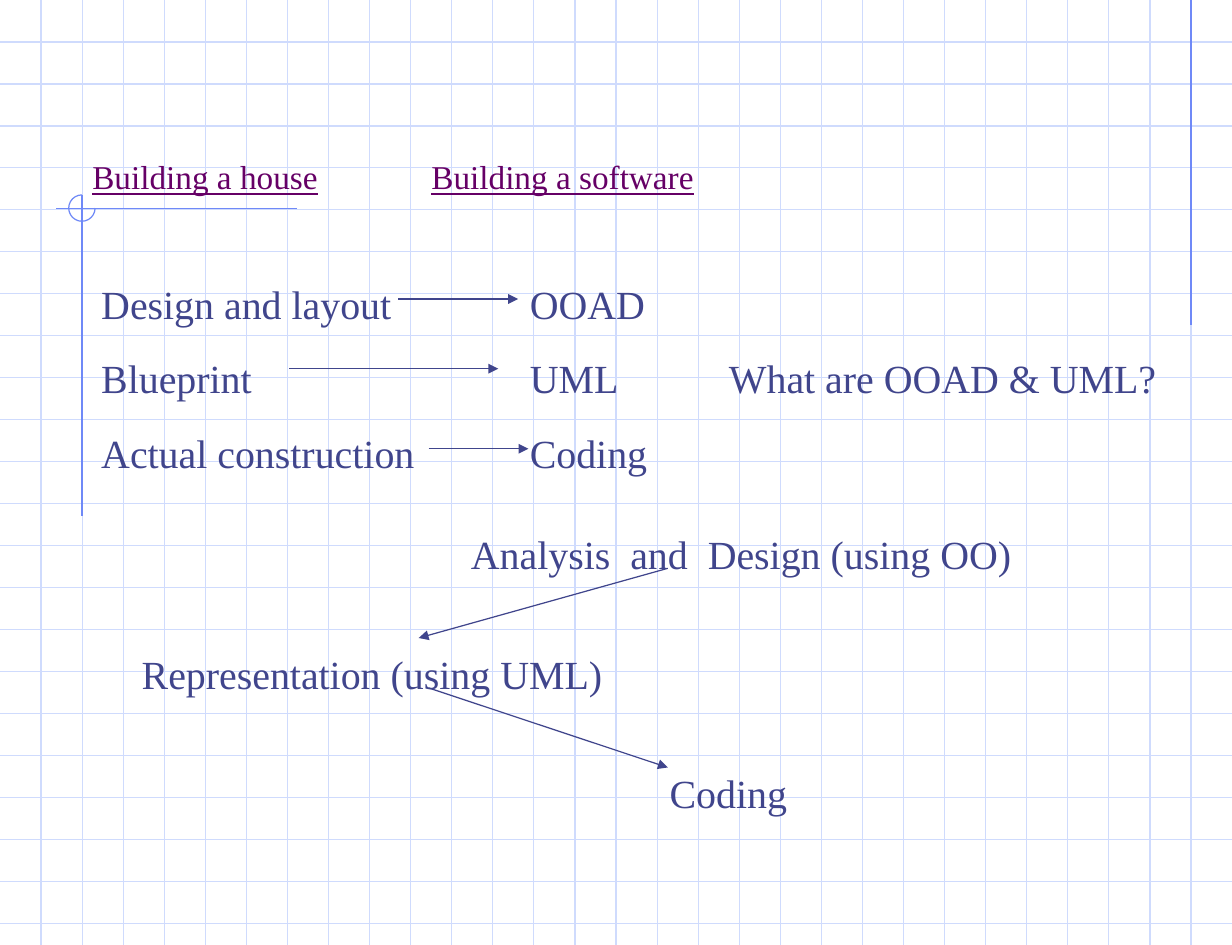
from dataclasses import dataclass

from lxml import etree
from pptx import Presentation
from pptx import util as u
from pptx.dml.color import RGBColor
from pptx.enum import shapes, text
from pptx.oxml import ns


@dataclass(frozen=True)
class Theme:
    font: str = "Times New Roman"
    ink: RGBColor = RGBColor(0x40, 0x45, 0x8C)
    heading: RGBColor = RGBColor(0x66, 0x00, 0x66)
    grid: RGBColor = RGBColor(0xCF, 0xDB, 0xFD)
    accent: RGBColor = RGBColor(0x6F, 0x89, 0xF7)
    heading_size: int = 20
    body_size: int = 24
    body_gap: int = 16
    line_width: float = 0.75


class SlideBuilder:
    """Draws on one page in one theme; all lengths are in centimetres."""

    def __init__(self, page, theme):
        self.page = page
        self.theme = theme

    def line(self, start, end, color, arrow=False):
        connector = self.page.shapes.add_connector(
            shapes.MSO_CONNECTOR.STRAIGHT, *map(u.Cm, (*start, *end)))
        connector.line.color.rgb = color
        connector.line.width = u.Pt(self.theme.line_width)
        properties = connector.element.spPr
        if arrow:
            outline = properties.find(ns.qn("a:ln"))
            etree.SubElement(outline, ns.qn("a:tailEnd"), type="triangle")
        etree.SubElement(properties, ns.qn("a:effectLst"))

    def arrow(self, start, end):
        self.line(start, end, self.theme.ink, arrow=True)

    def grid(self, width, height, last_column, columns, last_row, rows):
        """Rule the page evenly up to the last column and the last row."""
        for row in range(1, rows + 1):
            y = last_row * row / rows
            self.line((0, y), (width, y), self.theme.grid)
        for column in range(1, columns + 1):
            x = last_column * column / columns
            self.line((x, 0), (x, height), self.theme.grid)

    def open_circle(self, x, y, radius):
        """Three quarters of a circle, open at the upper right."""
        arc = self.page.shapes.add_shape(
            shapes.MSO_SHAPE.ARC, u.Cm(x - radius), u.Cm(y - radius),
            u.Cm(2 * radius), u.Cm(2 * radius))
        arc.adjustments[0] = 0
        arc.adjustments[1] = 162  # 270 degrees
        arc.shadow.inherit = False
        arc.fill.background()
        arc.line.color.rgb = self.theme.accent
        arc.line.width = u.Pt(self.theme.line_width)

    def text(self, rows, left, top, width, height, tabs=(), heading=False):
        """One paragraph per row; the cells of a row are set on tab stops."""
        theme = self.theme
        box = self.page.shapes.add_textbox(*map(u.Cm, (left, top, width, height)))
        frame = box.text_frame
        frame.word_wrap = True
        frame.vertical_anchor = text.MSO_ANCHOR.TOP
        frame.margin_left = frame.margin_right = 0
        frame.margin_top = frame.margin_bottom = 0
        for number, cells in enumerate(rows):
            para = frame.add_paragraph() if number else frame.paragraphs[0]
            if number:
                para.space_before = u.Pt(theme.body_gap)
            if tabs:
                self.tab_stops(para, tabs)
            para.font.name = theme.font
            para.font.size = u.Pt(theme.heading_size if heading else theme.body_size)
            para.font.color.rgb = theme.heading if heading else theme.ink
            for position, cell in enumerate(cells):
                if position:
                    para.add_run().text = "\t"
                span = para.add_run()
                span.text = cell
                if heading:
                    span.font.underline = True

    def tab_stops(self, para, tabs):
        properties = para._p.get_or_add_pPr()
        stops = etree.SubElement(properties, ns.qn("a:tabLst"))
        for tab in tabs:
            etree.SubElement(stops, ns.qn("a:tab"), pos=str(u.Cm(tab)), algn="l")


def main():
    width, height = 26.16, 20.07
    margin_x, corner_y, right_x = 1.74, 4.42, 25.29
    theme = Theme()
    deck = Presentation()
    deck.slide_width, deck.slide_height = u.Cm(width), u.Cm(height)
    slide = SlideBuilder(deck.slides.add_slide(deck.slide_layouts[6]), theme)

    slide.grid(width, height, last_column=right_x, columns=29, last_row=19.61, rows=22)
    slide.line((right_x, 0), (right_x, 6.91), theme.accent)
    slide.line((6.3, corner_y), (1.19, corner_y), theme.accent)
    slide.line((margin_x, 4.14), (margin_x, 10.95), theme.accent)
    slide.open_circle(margin_x, corner_y, 0.28)

    slide.text([("Building a house", "Building a software")],
               1.96, 3.33, 22, 0.9, tabs=(7.2,), heading=True)
    slide.text([("Design and layout", "OOAD"),
                ("Blueprint", "UML", "What are OOAD & UML?"),
                ("Actual construction", "Coding")],
               2.15, 5.94, 23.2, 4.1, tabs=(9.1, 13.33))

    for step, left, top in (("Analysis  and  Design (using OO)", 10, 11.25),
                            ("Representation (using UML)", 3.01, 13.8),
                            ("Coding", 14.22, 16.33)):
        slide.text([(step,)], left, top, 11.5, 1)

    for start, end in (((8.46, 6.35), (11, 6.35)),
                       ((6.14, 7.83), (10.58, 7.83)),
                       ((9.1, 9.53), (11.22, 9.53)),
                       ((14.18, 12.07), (8.89, 13.55)),
                       ((9.1, 14.61), (14.18, 16.3))):
        slide.arrow(start, end)

    deck.save("out.pptx")


if __name__ == "__main__":
    main()
